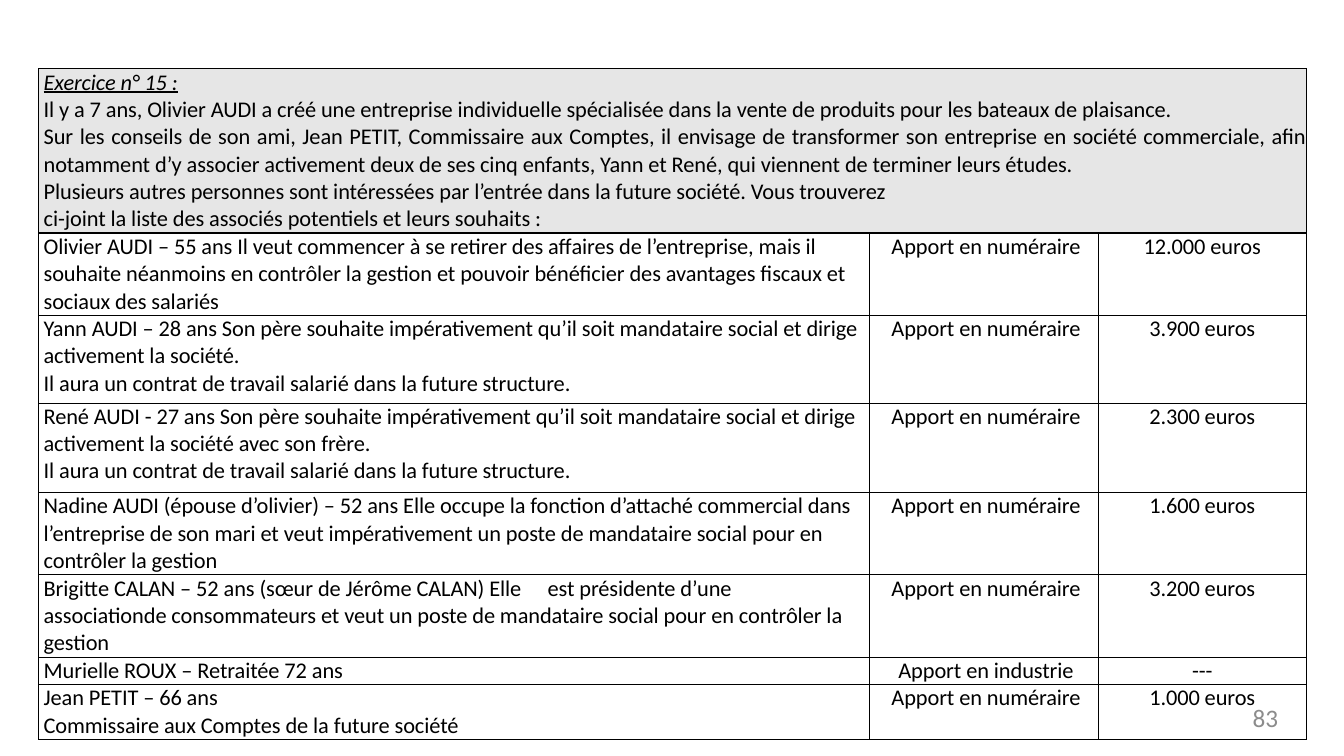
"""Build the slide of exercise 15 with its table of partners."""
from typing import NamedTuple

from lxml.etree import SubElement
from pptx import Presentation
from pptx.dml.color import RGBColor
from pptx.enum.text import MSO_ANCHOR, PP_ALIGN
from pptx.oxml.ns import qn
from pptx.util import Cm, Pt

FONT = "Calibri"
HUES = {"ink": "000000", "band": "E6E6E6", "page": "8C8C8C"}
COLS = (20.93, 5.77, 5.26)
STOPS = (1.47, 2.59, 4.98, 6.6, 9.12)
CASH = "Apport en numéraire"
HEAD = (
    "Exercice n° 15 :\n"
    "Il y a 7 ans, Olivier AUDI a créé une entreprise individuelle spécialisée "
    "dans la vente de produits pour les bateaux de plaisance.\n"
    "Sur les conseils de son ami, Jean PETIT, Commissaire aux Comptes, il envisage "
    "de transformer son entreprise en société commerciale, afin notamment d’y "
    "associer activement deux de ses cinq enfants, Yann et René, qui viennent de "
    "terminer leurs études.\n"
    "Plusieurs autres personnes sont intéressées par l’entrée dans la future "
    "société. Vous trouverez\n"
    "ci-joint la liste des associés potentiels et leurs souhaits :"
)


class Row(NamedTuple):
    """One row of the table: height in centimetres and three texts."""
    high: float
    who: str
    kind: str = ""
    sum: str = ""


ROWS = (
    Row(3.6, HEAD),
    Row(1.8, "Olivier AUDI – 55 ans Il veut commencer à se retirer des affaires de "
        "l’entreprise, mais il souhaite néanmoins en contrôler la gestion et pouvoir "
        "bénéficier des avantages fiscaux et sociaux des salariés",
        CASH, "12.000 euros"),
    Row(2.21, "Yann AUDI – 28 ans Son père souhaite impérativement qu’il soit "
        "mandataire social et dirige activement la société.\n"
        "Il aura un contrat de travail salarié dans la future structure.",
        CASH, "3.900 euros"),
    Row(2.26, "René AUDI - 27 ans Son père souhaite impérativement qu’il soit "
        "mandataire social et dirige activement la société avec son frère.\n"
        "Il aura un contrat de travail salarié dans la future structure.",
        CASH, "2.300 euros"),
    Row(1.78, "Nadine AUDI (épouse d’olivier) – 52 ans Elle occupe la fonction "
        "d’attaché commercial dans l’entreprise de son mari et veut impérativement "
        "un poste de mandataire social pour en contrôler la gestion",
        CASH, "1.600 euros"),
    Row(1.78, "Brigitte CALAN – 52 ans (sœur de Jérôme CALAN) Elle\test présidente "
        "d’une\tassociationde consommateurs et veut un poste de mandataire social "
        "pour en contrôler la gestion",
        CASH, "3.200 euros"),
    Row(0.46, "Murielle ROUX – Retraitée 72 ans", "Apport en industrie", "---"),
    Row(0.89, "Jean PETIT – 66 ans\nCommissaire aux Comptes de la future société",
        CASH, "1.000 euros"),
)


def style(frame, size: float, hue: str, align: PP_ALIGN, track: int = 0) -> None:
    """Format every paragraph and run of a text frame."""
    for para in frame.paragraphs:
        para.alignment = align
        if "\t" in para.text:
            tabs = SubElement(para._p.get_or_add_pPr(), qn("a:tabLst"))
            for stop in STOPS:
                SubElement(tabs, qn("a:tab"), pos=str(Cm(stop)), algn="l")
        for run in para.runs:
            run.font.name, run.font.size = FONT, Pt(size)
            run.font.color.rgb = RGBColor.from_string(HUES[hue])
            if track:
                run._r.get_or_add_rPr().set("spc", str(track))


def edge(cell, side: str, wide: float) -> None:
    """Draw one border of a cell."""
    line = SubElement(cell._tc.get_or_add_tcPr(), qn(f"a:ln{side}"), w=str(Pt(wide)))
    fill = SubElement(line, qn("a:solidFill"))
    SubElement(fill, qn("a:srgbClr"), val=HUES["ink"])


def write(cell, text: str, row: int, col: int) -> None:
    """Fill and format one cell of the table."""
    cell.margin_left = Cm(0 if col == 2 else 0.13)
    cell.margin_top = cell.margin_right = cell.margin_bottom = 0
    cell.vertical_anchor = MSO_ANCHOR.TOP
    for side in "LRTB":
        edge(cell, side, 1 if (row, side) in ((0, "B"), (1, "T")) else 0.5)
    if row:
        cell.fill.background()
    else:
        cell.fill.solid()
        cell.fill.fore_color.rgb = RGBColor.from_string(HUES["band"])
    if text:
        cell.text_frame.text = text
        first = PP_ALIGN.LEFT if row else PP_ALIGN.JUSTIFY
        style(cell.text_frame, 16, "ink", PP_ALIGN.CENTER if col else first, -5)


def main() -> None:
    """Build and save the slide."""
    deck = Presentation()
    deck.slide_width, deck.slide_height = Cm(33.87), Cm(19.05)
    slide = deck.slides.add_slide(deck.slide_layouts[6])
    high = sum(row.high for row in ROWS)
    grid = slide.shapes.add_table(len(ROWS), len(COLS), Cm(0.97), Cm(1.73),
                                  Cm(sum(COLS)), Cm(high)).table
    grid.first_row = grid.horz_banding = False
    for col, wide in enumerate(COLS):
        grid.columns[col].width = Cm(wide)
    for num, row in enumerate(ROWS):
        grid.rows[num].height = Cm(row.high)
        for col, text in enumerate((row.who, row.kind, row.sum)):
            write(grid.cell(num, col), text, num, col)
    head = grid.cell(0, 0)
    head.merge(grid.cell(0, len(COLS) - 1))
    label = head.text_frame.paragraphs[0].runs[0].font
    label.italic = label.underline = True

    page = slide.shapes.add_textbox(Cm(24.41), Cm(17.7), Cm(7.8), Cm(0.76)).text_frame
    page.word_wrap = True
    page.margin_left = page.margin_top = page.margin_right = page.margin_bottom = 0
    page.text = "83"
    style(page, 18, "page", PP_ALIGN.RIGHT)
    deck.save("out.pptx")


if __name__ == "__main__":
    main()
